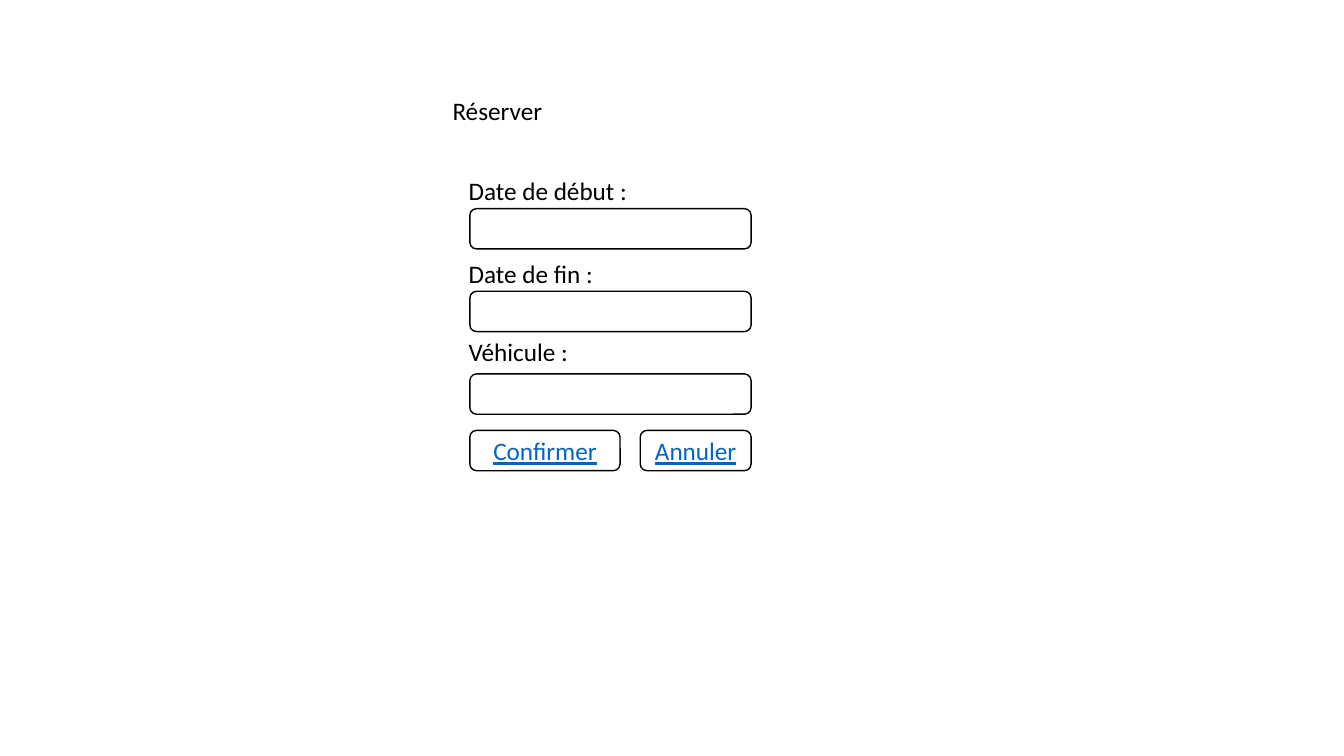
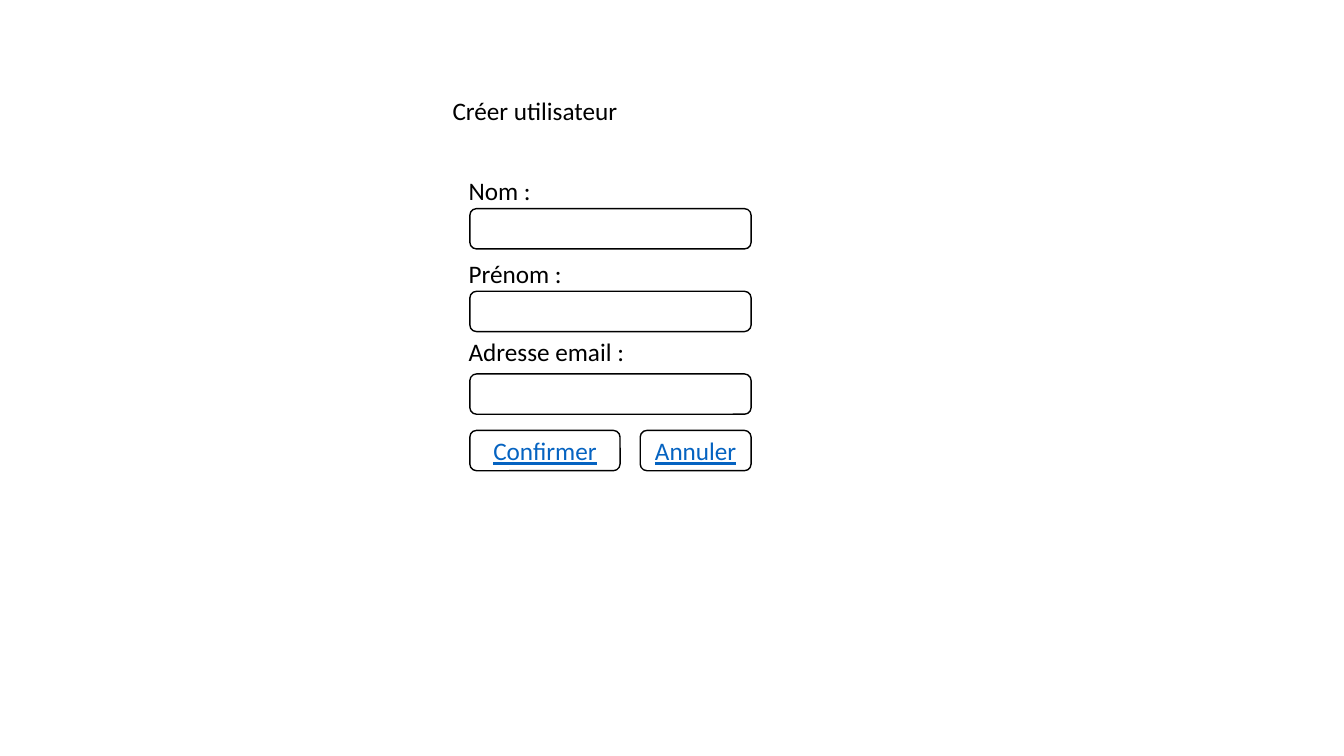
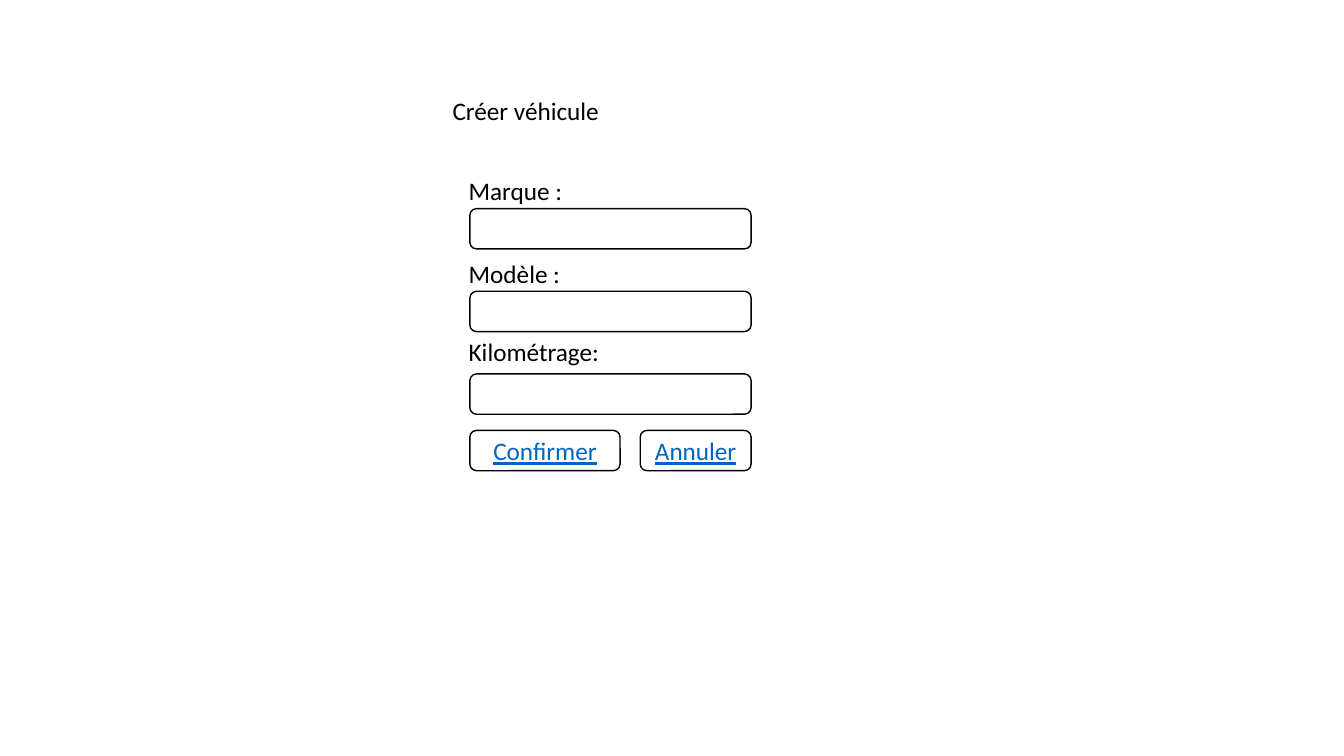
"""Build three form mock-ups that share one layout."""
from pptx import Presentation
from pptx.dml.color import RGBColor
from pptx.enum.shapes import MSO_SHAPE
from pptx.enum.text import MSO_ANCHOR, MSO_AUTO_SIZE, PP_ALIGN
from pptx.util import Inches, Pt

FORMS = [
    (("Réserver", 1.1),
     [("Date de début :", 1.8), ("Date de fin :", 1.45), ("Véhicule :", 1.2)]),
    (("Créer utilisateur", 1.86),
     [("Nom :", 0.83), ("Prénom :", 1.14), ("Adresse email :", 1.76)]),
    (("Créer véhicule", 1.67),
     [("Marque :", 1.14), ("Modèle :", 1.12), ("Kilométrage:", 1.51)]),
]
BUTTONS = [("Annuler", 6.35, 1.1), ("Confirmer", 4.66, 1.49)]

FONT = "Calibri"
BLACK = "000000"
LINK_BLUE = "0563C1"
ROW_HEIGHT = 0.4
TITLE_LEFT, TITLE_TOP = 4.39, 0.9
LABEL_LEFT = 4.55
LABEL_TOPS = (1.69, 2.51, 3.29)
FIELD_LEFT, FIELD_TOP, FIELD_WIDTH, FIELD_STEP = 4.66, 2.07, 2.79, 0.82
BUTTON_TOP = 4.27


def color(value):
    return RGBColor.from_string(value)


def write(shape, text, hue=BLACK, align=PP_ALIGN.LEFT, underline=None):
    paragraph = shape.text_frame.paragraphs[0]
    paragraph.alignment = align
    run = paragraph.add_run()
    run.text = text
    run.font.name = FONT
    run.font.size = Pt(18)
    run.font.underline = underline
    run.font.color.rgb = color(hue)


def add_label(slide, text, left, top, width):
    box = slide.shapes.add_textbox(
        Inches(left), Inches(top), Inches(width), Inches(ROW_HEIGHT))
    box.text_frame.word_wrap = False
    box.text_frame.auto_size = MSO_AUTO_SIZE.SHAPE_TO_FIT_TEXT
    write(box, text)


def add_frame(slide, left, top, width):
    frame = slide.shapes.add_shape(
        MSO_SHAPE.ROUNDED_RECTANGLE,
        Inches(left), Inches(top), Inches(width), Inches(ROW_HEIGHT))
    frame.shadow.inherit = False
    frame.fill.background()
    frame.line.color.rgb = color(BLACK)
    frame.line.width = Pt(1)
    frame.text_frame.vertical_anchor = MSO_ANCHOR.MIDDLE
    return frame


def add_form(slide, title, fields):
    title_text, title_width = title
    add_label(slide, title_text, TITLE_LEFT, TITLE_TOP, title_width)
    for (text, width), top in zip(fields, LABEL_TOPS):
        add_label(slide, text, LABEL_LEFT, top, width)
    for row in range(len(fields)):
        add_frame(slide, FIELD_LEFT, FIELD_TOP + row * FIELD_STEP, FIELD_WIDTH)
    for text, left, width in BUTTONS:
        button = add_frame(slide, left, BUTTON_TOP, width)
        write(button, text, hue=LINK_BLUE, align=PP_ALIGN.CENTER, underline=True)


def main():
    presentation = Presentation()
    presentation.slide_width = Inches(13.33)
    presentation.slide_height = Inches(7.5)
    for title, fields in FORMS:
        slide = presentation.slides.add_slide(presentation.slide_layouts[6])
        add_form(slide, title, fields)
    presentation.save("out.pptx")


if __name__ == "__main__":
    main()
